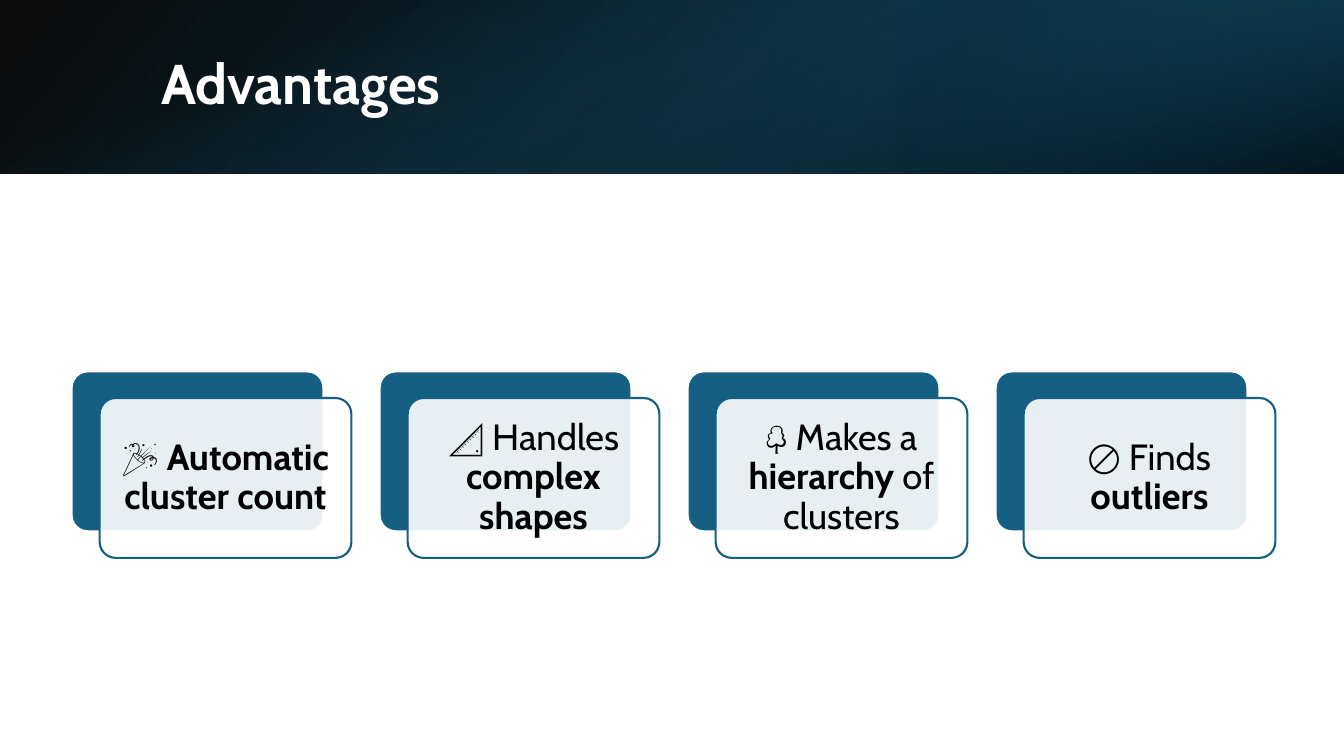
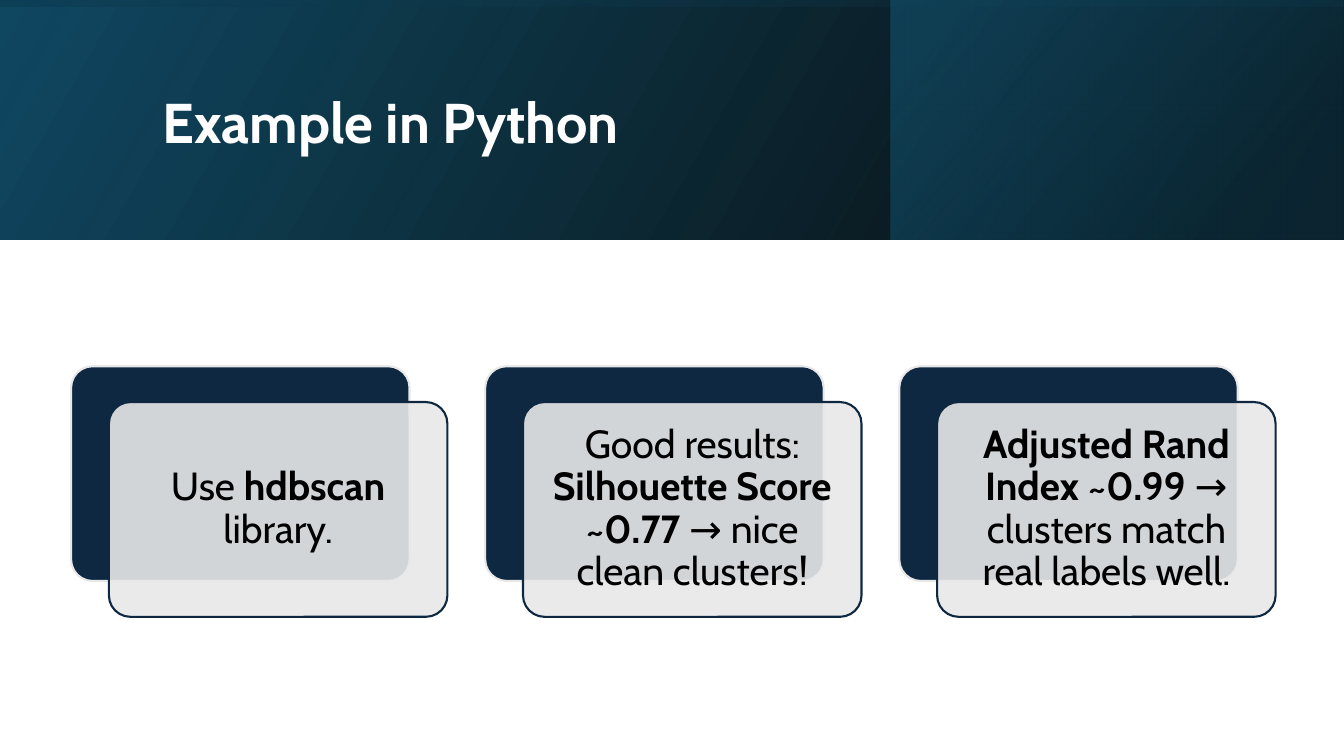
from lxml import etree
from pptx import Presentation
from pptx.dml.color import RGBColor
from pptx.enum.shapes import MSO_SHAPE
from pptx.enum.text import MSO_ANCHOR, MSO_AUTO_SIZE, PP_ALIGN
from pptx.oxml.ns import qn
from pptx.util import Pt

RECTANGLE = MSO_SHAPE.RECTANGLE
ROUNDED = MSO_SHAPE.ROUNDED_RECTANGLE
MIDDLE = MSO_ANCHOR.MIDDLE
NO_AUTOFIT = MSO_AUTO_SIZE.NONE
LEFT, CENTER = PP_ALIGN.LEFT, PP_ALIGN.CENTER

SLIDE_WIDTH, SLIDE_HEIGHT = 960, 540
TITLE_ONLY = 5
FONT = "Cabin"
BLACK, WHITE, GREY = "000000", "FFFFFF", "E8E8E8"
NAVY, DEEP, BLUE, TEAL = "0E2841", "0B3041", "104862", "156082"
MARGINS = ("margin_left", "margin_top", "margin_right", "margin_bottom")

ADVANTAGES = {
    "title": "Advantages",
    "title_box": (108, 27.4, 790.6, 69),
    "bands": [
        {"box": (0, 0, 960, 124), "flip": True, "angle": 140,
         "stops": [(0, BLACK, 96), (100, BLUE, 100)]},
        {"box": (640, 0, 320, 124), "flip": True, "angle": 320, "rotation": 180,
         "stops": [(19, DEEP, 68), (100, TEAL, 79)]},
        {"box": (418, -418, 124, 960), "flip": False, "angle": 340, "rotation": 90,
         "stops": [(23, TEAL, 0), (99, BLACK, 74)]},
    ],
    "cards": {"origin": (51.2, 265.3), "size": (179.8, 114.2), "pitch": 220,
              "offset": (20, 19), "accent": TEAL, "paper": WHITE,
              "font_size": 26, "inset": 7.9},
    "texts": [
        [("🎉 ", False), ("Automatic cluster count", True)],
        [("📐 Handles ", False), ("complex shapes", True)],
        [("🌳 Makes a ", False), ("hierarchy", True), (" of clusters", False)],
        [("🚫 Finds ", False), ("outliers", True)],
    ],
}

EXAMPLE = {
    "title": "Example in Python",
    "title_box": (109, 27.4, 765.4, 124),
    "bands": [
        {"box": (0, 0, 960, 171), "flip": True, "angle": 330,
         "stops": [(0, BLACK, 96), (100, BLUE, 100)]},
        {"box": (636.5, 0, 323, 171), "flip": True, "angle": 320,
         "stops": [(19, DEEP, 68), (100, TEAL, 48)]},
        {"box": (394.5, -394.5, 171, 960), "flip": True, "angle": 350, "rotation": 270,
         "stops": [(23, BLUE, 16), (99, BLACK, 45)]},
    ],
    "cards": {"origin": (50.8, 261.6), "size": (241.8, 153.4), "pitch": 295.8,
              "offset": (27, 25.6), "accent": NAVY, "paper": GREY,
              "font_size": 28, "inset": 8.5},
    "texts": [
        [("Use ", False), ("hdbscan", True), (" library.", False)],
        [("Good results: ", False), ("Silhouette Score ~0.77", True),
         (" → nice clean clusters!", False)],
        [("Adjusted Rand Index ~0.99", True),
         (" → clusters match real labels well.", False)],
    ],
}


def rgb(value):
    """Turn a hex string into a colour."""
    return RGBColor.from_string(value)


def apply_format(target, values):
    """Set every attribute named in a dict of format values."""
    for name, value in values.items():
        setattr(target, name, value)


def set_opacity(colour, percent):
    """Give a colour element an opacity in percent."""
    etree.SubElement(colour, qn("a:alpha")).set("val", str(percent * 1000))


def add_plain_shape(slide, preset, box):
    """Add a preset shape without a shadow."""
    shape = slide.shapes.add_shape(preset, *map(Pt, box))
    shape.shadow.inherit = False
    return shape


def add_band(slide, box, stops, angle, flip, rotation=0):
    """Add one translucent gradient layer of the header; angle runs clockwise."""
    band = add_plain_shape(slide, RECTANGLE, box)
    band.rotation = rotation
    band.line.fill.background()
    band.fill.gradient()
    band.fill.gradient_angle = 360 - angle
    for gradient_stop, (position, colour, opacity) in zip(band.fill.gradient_stops, stops):
        gradient_stop.position = position / 100
        gradient_stop.color.rgb = rgb(colour)
    properties = band.element.spPr
    for colour_element, (_, _, opacity) in zip(properties.iter(qn("a:srgbClr")), stops):
        set_opacity(colour_element, opacity)
    if flip:
        properties.find(qn("a:xfrm")).set("flipH", "1")


def write_text(shape, runs, size, colour, alignment):
    """Fill a shape with one paragraph of regular and bold runs."""
    apply_format(shape.text_frame, {"word_wrap": True, "auto_size": NO_AUTOFIT,
                                    "vertical_anchor": MIDDLE})
    paragraph = shape.text_frame.paragraphs[0]
    apply_format(paragraph, {"alignment": alignment, "line_spacing": 0.9})
    for text, bold in runs:
        run = paragraph.add_run()
        run.text = text
        apply_format(run.font, {"name": FONT, "size": Pt(size), "bold": bold})
        run.font.color.rgb = rgb(colour)


def place_title(slide, text, box):
    """Move the title placeholder in front of the header and fill it."""
    title = slide.shapes.title
    apply_format(title, dict(zip(("left", "top", "width", "height"), map(Pt, box))))
    write_text(title, [(text, True)], 40, WHITE, LEFT)
    slide.shapes.element.append(title.element)


def add_panel(slide, box, fill, line):
    """Add a rounded rectangle with a solid fill and an outline."""
    panel = add_plain_shape(slide, ROUNDED, box)
    panel.adjustments[0] = 0.1
    panel.fill.solid()
    panel.fill.fore_color.rgb = rgb(fill)
    panel.line.color.rgb = rgb(line)
    panel.line.width = Pt(1.5)
    return panel


def add_cards(slide, texts, origin, size, pitch, offset, accent, paper, font_size, inset):
    """Add a row of text cards, each in front of a shifted backing panel."""
    for index, runs in enumerate(texts):
        left, top = origin[0] + index * pitch, origin[1]
        add_panel(slide, (left, top, *size), accent, paper)
        card = add_panel(slide, (left + offset[0], top + offset[1], *size), paper, accent)
        set_opacity(next(card.element.spPr.iter(qn("a:srgbClr"))), 90)
        apply_format(card.text_frame, dict.fromkeys(MARGINS, Pt(inset)))
        write_text(card, runs, font_size, BLACK, CENTER)


def add_card_slide(deck, content):
    """Build a slide with a gradient header, a title and a row of cards."""
    slide = deck.slides.add_slide(deck.slide_layouts[TITLE_ONLY])
    for band in content["bands"]:
        add_band(slide, **band)
    place_title(slide, content["title"], content["title_box"])
    add_cards(slide, content["texts"], **content["cards"])


def main():
    """Create and save the deck."""
    deck = Presentation()
    apply_format(deck, {"slide_width": Pt(SLIDE_WIDTH), "slide_height": Pt(SLIDE_HEIGHT)})
    for content in (ADVANTAGES, EXAMPLE):
        add_card_slide(deck, content)
    deck.save("out.pptx")


if __name__ == "__main__":
    main()
